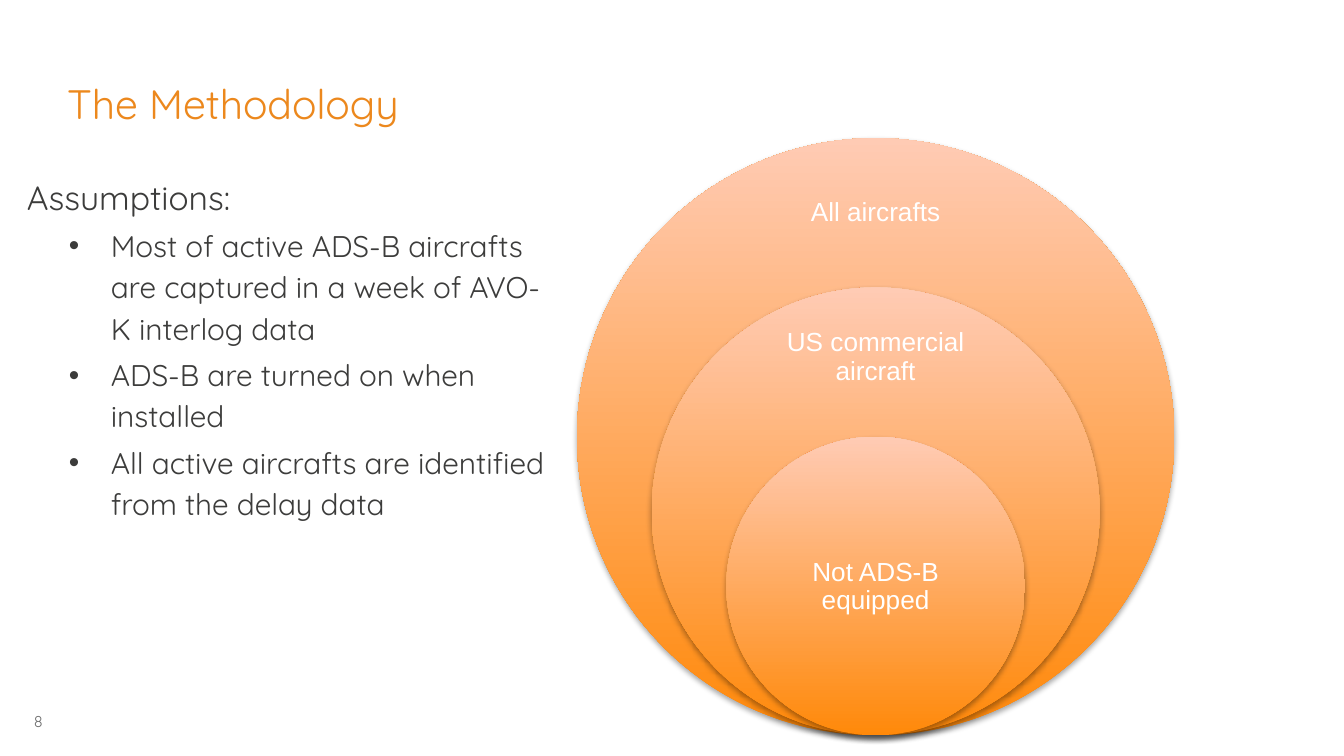
from dataclasses import dataclass

from lxml import etree
from pptx import Presentation
from pptx.dml.color import RGBColor
from pptx.enum.shapes import MSO_SHAPE
from pptx.enum.text import MSO_ANCHOR, PP_ALIGN
from pptx.oxml import parse_xml
from pptx.oxml.ns import nsdecls, qn
from pptx.util import Pt

OVAL = MSO_SHAPE.OVAL
TOP, MIDDLE, BOTTOM = MSO_ANCHOR.TOP, MSO_ANCHOR.MIDDLE, MSO_ANCHOR.BOTTOM
LEFT, CENTER, RIGHT = PP_ALIGN.LEFT, PP_ALIGN.CENTER, PP_ALIGN.RIGHT

WHITE = RGBColor(0xFF, 0xFF, 0xFF)
GRAY = RGBColor(0x6C, 0x6C, 0x6C)
INK = RGBColor(0x3C, 0x3C, 0x3B)
TITLE_ORANGE = RGBColor(0xEC, 0x88, 0x1D)
DEEP_ORANGE = RGBColor(0xFF, 0x89, 0x0A)
PALE_ORANGE = RGBColor(0xFF, 0xCB, 0xB4)

CENTER_X, BASE_Y = 469.1, 394
BULLET_INDENT, BULLET_HANG = 45, 22.5


@dataclass(frozen=True)
class Style:
    size: float
    color: RGBColor
    font: str = "Quicksand"
    align: PP_ALIGN = LEFT
    line_spacing: float = 1.0
    space_before: float = 0


@dataclass(frozen=True)
class Box:
    left: float
    top: float
    width: float
    height: float
    anchor: MSO_ANCHOR = TOP
    inset: float = 0


@dataclass(frozen=True)
class Ring:
    """One of the nested circles, with the vertical extent of its label."""
    text: str
    diameter: float
    label_top: float
    label_height: float


NUMBER = Style(8.5, GRAY, align=RIGHT)
TITLE = Style(22, TITLE_ORANGE, line_spacing=0.95)
HEADING = Style(18, INK, line_spacing=1.15, space_before=3)
BULLET = Style(16, INK, line_spacing=1.15, space_before=3)
LABEL = Style(14, WHITE, "Arial", CENTER, 0.9)

ASSUMPTIONS = (
    "Most of active ADS-B aircrafts are captured in a week of AVO-K interlog data",
    "ADS-B are turned on when installed",
    "All active aircrafts are identified from the delay data",
)
RINGS = (
    Ring("All aircrafts", 320, 90, 48),
    Ring("US commercial aircraft", 240, 169.2, 44.8),
    Ring("Not ADS-B equipped", 160, 274.4, 80),
)


def add_box(slide, box: Box):
    """Add an empty wrapping text box and return its text frame."""
    tb = slide.shapes.add_textbox(Pt(box.left), Pt(box.top), Pt(box.width), Pt(box.height))
    tf = tb.text_frame
    tf.word_wrap = True
    tf.vertical_anchor = box.anchor
    tf.margin_left = tf.margin_right = tf.margin_top = tf.margin_bottom = Pt(box.inset)
    return tf


def write(p, text: str, style: Style) -> None:
    p.alignment = style.align
    p.line_spacing = style.line_spacing
    p.space_before = Pt(style.space_before)
    r = p.add_run()
    r.text = text
    r.font.name = style.font
    r.font.size = Pt(style.size)
    r.font.color.rgb = style.color


def add_bullet(p) -> None:
    pPr = p._p.get_or_add_pPr()
    pPr.set("lvl", "1")
    pPr.set("marL", str(Pt(BULLET_INDENT)))
    pPr.set("indent", str(-Pt(BULLET_HANG)))
    color = etree.SubElement(pPr, qn("a:buClr"))
    etree.SubElement(color, qn("a:srgbClr"), val=str(INK))
    etree.SubElement(pPr, qn("a:buFont"), typeface="Arial")
    etree.SubElement(pPr, qn("a:buChar"), char="•")


def add_shadow(sp) -> None:
    sp._element.spPr.append(parse_xml(
        f'<a:effectLst {nsdecls("a")}>'
        f'<a:outerShdw blurRad="{Pt(3.1)}" dist="{Pt(1.8)}" dir="5400000" rotWithShape="0">'
        '<a:srgbClr val="000000"><a:alpha val="35000"/></a:srgbClr>'
        '</a:outerShdw></a:effectLst>'))


def add_ring(slide, ring: Ring) -> None:
    d = ring.diameter
    sp = slide.shapes.add_shape(OVAL, Pt(CENTER_X - d / 2), Pt(BASE_Y - d), Pt(d), Pt(d))
    sp.fill.gradient()
    sp.fill.gradient_angle = 90
    for stop, color in zip(sp.fill.gradient_stops, (DEEP_ORANGE, PALE_ORANGE)):
        stop.color.rgb = color
    sp.line.fill.background()
    add_shadow(sp)
    width = 112
    tf = add_box(slide, Box(CENTER_X - width / 2, ring.label_top, width,
                            ring.label_height, MIDDLE, 8))
    write(tf.paragraphs[0], ring.text, LABEL)


def main() -> None:
    prs = Presentation()
    prs.slide_width, prs.slide_height = Pt(720), Pt(405)
    slide = prs.slides.add_slide(prs.slide_layouts[6])

    tf = add_box(slide, Box(12.2, 381, 10.8, 10))
    write(tf.paragraphs[0], "8", NUMBER)

    tf = add_box(slide, Box(14.4, 91.4, 283.7, 285))
    write(tf.paragraphs[0], "Assumptions:", HEADING)
    for text in ASSUMPTIONS:
        p = tf.add_paragraph()
        write(p, text, BULLET)
        add_bullet(p)

    tf = add_box(slide, Box(36, 13.7, 569.5, 55.4, BOTTOM))
    write(tf.paragraphs[0], "The Methodology", TITLE)

    for ring in RINGS:
        add_ring(slide, ring)

    prs.save("out.pptx")


if __name__ == "__main__":
    main()
